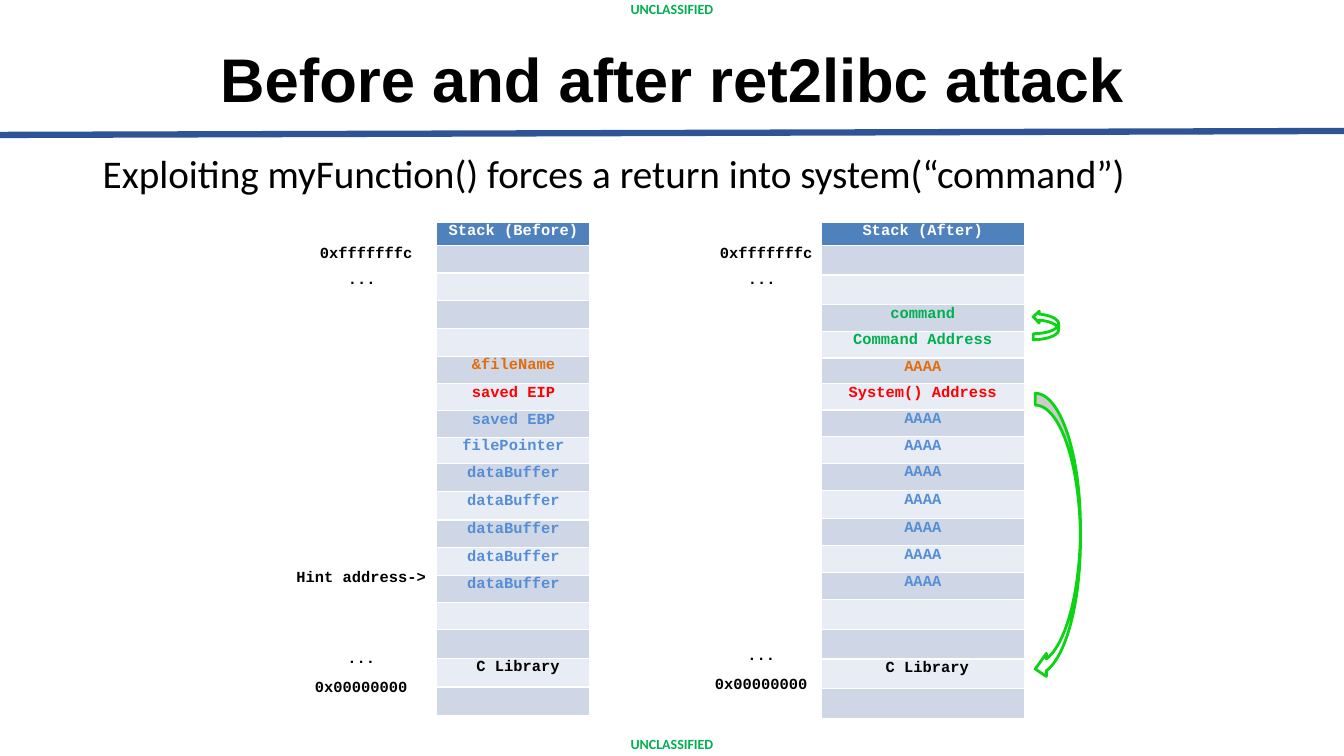
"""Build the slide that shows the stack before and after a ret2libc attack."""
from math import acos, asin, cos, pi, sin

from lxml import etree
from pptx import Presentation
from pptx.dml.color import RGBColor
from pptx.enum.shapes import MSO_CONNECTOR, MSO_SHAPE_TYPE
from pptx.enum.text import MSO_ANCHOR, MSO_AUTO_SIZE, PP_ALIGN
from pptx.oxml.ns import qn
from pptx.util import Cm, Pt

LEFT, MID = PP_ALIGN.LEFT, PP_ALIGN.CENTER
MIDDLE, FIXED = MSO_ANCHOR.MIDDLE, MSO_AUTO_SIZE.NONE
STRAIGHT = MSO_CONNECTOR.STRAIGHT
TABLE = MSO_SHAPE_TYPE.TABLE

BLACK = RGBColor(0x00, 0x00, 0x00)
WHITE = RGBColor(0xFF, 0xFF, 0xFF)
GREEN = RGBColor(0x00, 0xB0, 0x50)
LIME = RGBColor(0x0A, 0xD4, 0x14)
NAVY = RGBColor(0x2F, 0x54, 0x96)
HEAD = RGBColor(0x4F, 0x81, 0xBD)
DARK = RGBColor(0xCF, 0xD7, 0xE7)
PALE = RGBColor(0xE8, 0xEC, 0xF4)
ORANGE = RGBColor(0xE4, 0x6C, 0x0A)
RED = RGBColor(0xFF, 0x00, 0x00)
BLUE = RGBColor(0x55, 0x8E, 0xD5)

MARK = {"name": "Calibri", "size": Pt(10), "bold": True}
TITLE = {"name": "Arial", "size": Pt(44), "bold": True}
BODY = {"name": "Calibri", "size": Pt(28), "bold": False}
CODE = {"name": "Courier New", "size": Pt(11), "bold": True}
FLUSH = ("margin_left", "margin_top", "margin_right", "margin_bottom")


def write(para, words, look, color, align, space):
    """Put styled words in a paragraph."""
    run = para.add_run()
    run.text = words
    for key, val in look.items():
        setattr(run.font, key, val)
    run.font.color.rgb = color
    para.alignment = align
    para.line_spacing = space


def arc(mid, wide, tall, start, stop):
    """Give points on an ellipse between two angles."""
    turns = [start + (stop - start) * i / 24 for i in range(25)]
    return [(wide * cos(a), mid + tall * sin(a)) for a in turns]


deck = Presentation()
deck.slide_width, deck.slide_height = Cm(33.87), Cm(19.05)
slide = deck.slides.add_slide(deck.slide_layouts[5])
shapes = slide.shapes

rule = shapes.add_connector(STRAIGHT, 0, Cm(3.4), Cm(33.87), Cm(3.3))
rule.line.color.rgb = NAVY
rule.line.width = Pt(4.5)
etree.SubElement(rule._element.spPr, qn("a:effectLst"))

for top in (0.08, 18.62):
    frame = shapes.add_textbox(0, Cm(top), Cm(33.87), Cm(0.33)).text_frame
    frame.word_wrap = True
    frame.vertical_anchor = MIDDLE
    write(frame.paragraphs[0], "UNCLASSIFIED", MARK, GREEN, MID, 0.9)

title = shapes.title
place = {"left": 2.34, "top": 0.86, "width": 29.21, "height": 2.46}
for key, val in place.items():
    setattr(title, key, Cm(val))
title.text_frame.vertical_anchor = MIDDLE
title.text_frame.auto_size = FIXED
write(title.text_frame.paragraphs[0], "Before and after ret2libc attack",
      TITLE, BLACK, MID, 0.9)

frame = shapes.add_textbox(Cm(2.34), Cm(3.76), Cm(29.21), Cm(1.63)).text_frame
frame.word_wrap = True
para = frame.paragraphs[0]
para.space_before = Pt(10)
write(para, "Exploiting myFunction() forces a return into system(“command”)",
      BODY, BLACK, LEFT, 0.9)

NONE = ("", BLACK)
LIB = [NONE, NONE, ("C Library", BLACK), NONE]
BEFORE = [("Stack (Before)", WHITE), *[NONE] * 4,
          ("&fileName", ORANGE), ("saved EIP", RED), ("saved EBP", BLUE),
          ("filePointer", BLUE), *[("dataBuffer", BLUE)] * 5, *LIB]
AFTER = [("Stack (After)", WHITE), NONE, NONE, ("command", GREEN),
         ("Command Address", GREEN), ("AAAA", ORANGE),
         ("System() Address", RED), *[("AAAA", BLUE)] * 7, *LIB]
STACKS = [
    (11.01, 3.86, BEFORE, [0.58, 0.7, 0.7, 0.7, 0.7, 0.69, 0.68, 0.67, 0.67,
                           0.71, 0.71, 0.7, 0.69, 0.68, 0.68, 0.73, 0.73, 0.73]),
    (20.69, 5.13, AFTER, [0.58, 0.75, 0.75, 0.67, 0.67, 0.65, 0.66, 0.67, 0.67,
                          0.7, 0.7, 0.68, 0.68, 0.68, 0.75, 0.75, 0.74, 0.75]),
]
for left, width, rows, sizes in STACKS:
    table = shapes.add_table(len(rows), 1, Cm(left), Cm(5.6), Cm(width),
                             Cm(sum(sizes))).table
    table.columns[0].width = Cm(width)
    for i, ((words, color), size) in enumerate(zip(rows, sizes)):
        table.rows[i].height = Cm(size)
        cell = table.cell(i, 0)
        for side in FLUSH:
            setattr(cell, side, 0)
        cell.fill.solid()
        cell.fill.fore_color.rgb = (DARK if i % 2 else PALE) if i else HEAD
        para = cell.text_frame.paragraphs[0]
        if words:
            write(para, words, CODE, color, MID, 1.04)
        else:
            para.font.size = Pt(10)
        if words == "C Library":
            cell.margin_left = Cm(0.23)

HIGH = [("0xfffffffc", 0.03), ("...", 0.74)]
LOW = [("...", 0), ("0x00000000", 0)]
LABELS = [
    (8.03, 5.87, 2.41, 1.4, 0.25, 5.9, LEFT, HIGH),
    (18.11, 5.87, 2.41, 1.4, 0.25, 5.9, LEFT, HIGH),
    (7.44, 14.27, 3.33, 0.51, 0.03, 0, LEFT, [("Hint address->", 0.03)]),
    (7.9, 16.03, 2.41, 1.52, 0.3, 7.7, MID, LOW),
    (17.98, 15.95, 2.41, 1.52, 0.3, 7.6, MID, LOW),
]
for left, top, width, height, inset, gap, align, lines in LABELS:
    frame = shapes.add_textbox(Cm(left), Cm(top), Cm(width), Cm(height)).text_frame
    frame.word_wrap = True
    for side in FLUSH:
        setattr(frame, side, 0)
    frame.margin_top = Cm(inset)
    for i, (words, indent) in enumerate(lines):
        para = frame.add_paragraph() if i else frame.paragraphs[0]
        write(para, words, CODE, BLACK, align, 1.0)
        para.space_before = Pt(gap if i else 0)
        para._p.get_or_add_pPr().set("marL", str(Cm(indent)))

ARROWS = [
    (26.04, 8.31, 0.64, 0.25, 0.15, 0.15, 0.15, -1, False),
    (26.09, 13.31, 1.14, 3.4, 0.3, 0.28, 0.29, 1, True),
]
for left, mid, wide, tall, band, neck, half, way, shade in ARROWS:
    bend, cross = acos(neck / wide), asin(band / 2 / tall)
    tip = band / 2 + tall
    base = band / 2 + tall * sin(bend)
    outer = arc(0, wide, tall, -pi / 2, 0)
    inner = arc(band, wide, tall, -cross, -pi / 2)
    head = [(neck, base + half), (0, tip), (neck, base - half)]
    whole = (outer + arc(band, wide, tall, 0, bend) + head
             + arc(0, wide, tall, bend, cross) + inner)
    parts = [(outer + inner, True)] if shade else []
    for points, dim in parts + [(whole, False)]:
        spots = [(Cm(left + x), Cm(mid + way * y)) for x, y in points]
        pen = shapes.build_freeform(*spots[0])
        pen.add_line_segments(spots[1:], close=True)
        form = pen.convert_to_shape()
        form.shadow.inherit = False
        if dim:
            form.fill.solid()
            form.fill.fore_color.rgb = BLACK
            tint = form._element.spPr.find(".//" + qn("a:srgbClr"))
            etree.SubElement(tint, qn("a:alpha"), val="20000")
            form.line.fill.background()
        else:
            form.fill.background()
            form.line.color.rgb = LIME
            form.line.width = Pt(2)

deck.save("out.pptx")
